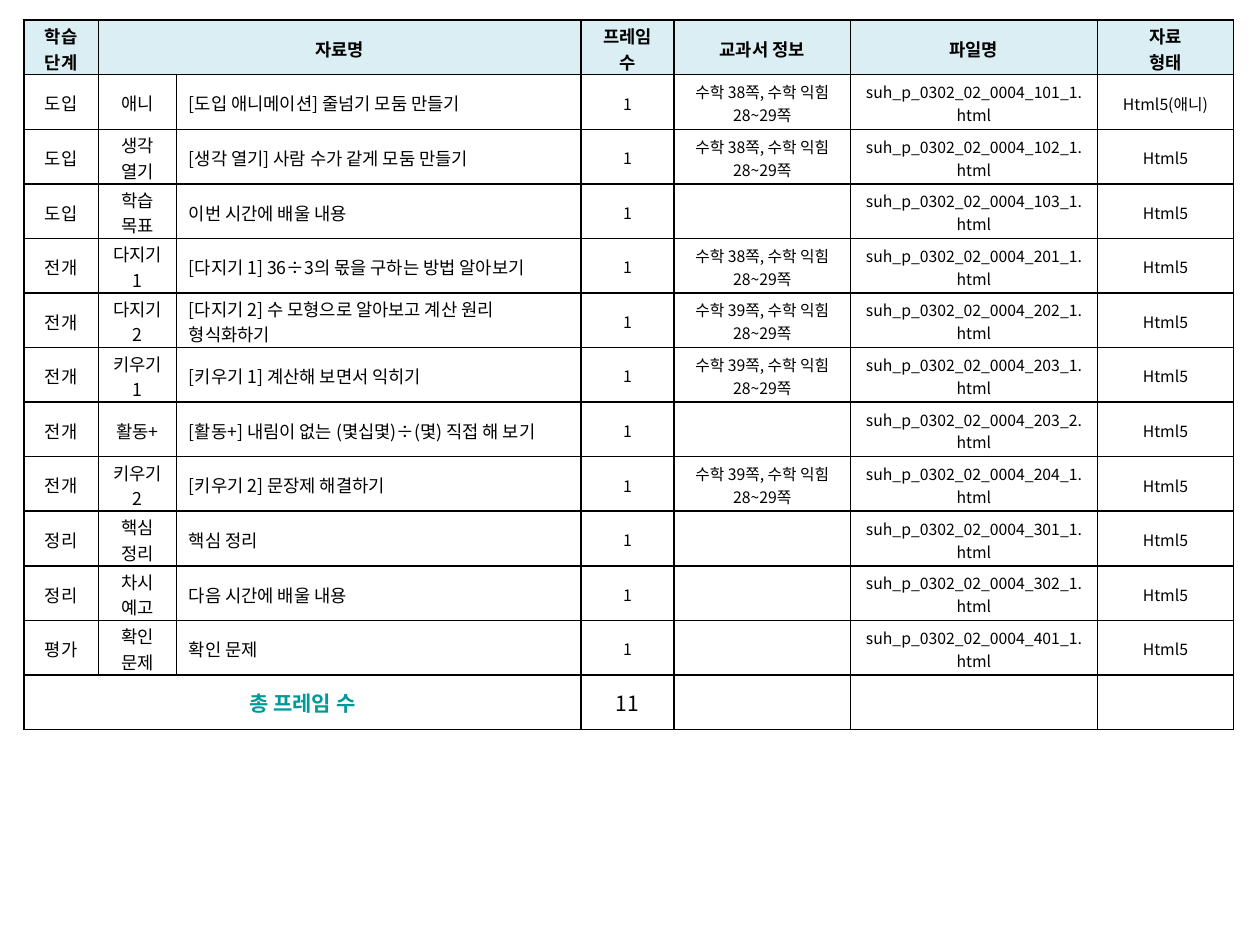
from lxml.etree import SubElement
from pptx import Presentation
from pptx.dml.color import RGBColor
from pptx.enum.text import MSO_ANCHOR, PP_ALIGN
from pptx.oxml.ns import qn
from pptx.util import Inches, Pt

BLACK = RGBColor(0x00, 0x00, 0x00)
WHITE = RGBColor(0xFF, 0xFF, 0xFF)
TEAL = RGBColor(0x00, 0x99, 0x99)
PALE_BLUE = RGBColor(0xDB, 0xEE, 0xF4)
FONT = "Noto Sans CJK KR"
TABLE_HEIGHT = Inches(5.63)
COLUMN_WIDTHS = [0.59, 0.62, 3.21, 0.74, 1.4, 1.96, 1.08]
VERTICAL_MARGINS = {9: (0.04, 0.02), 10.1: (0.02, 0), 12: (0.05, 0.05)}

HEADER = ["학습 단계", "자료명", "", "프레임 수", "교과서 정보", "파일명", "자료\n형태"]
LESSONS = [
    ("도입", "애니", "[도입 애니메이션] 줄넘기 모둠 만들기", 38, "101_1"),
    ("도입", "생각 열기", "[생각 열기] 사람 수가 같게 모둠 만들기", 38, "102_1"),
    ("도입", "학습 목표", "이번 시간에 배울 내용", None, "103_1"),
    ("전개", "다지기 1", "[다지기 1] 36÷3의 몫을 구하는 방법 알아보기", 38, "201_1"),
    ("전개", "다지기 2", "[다지기 2] 수 모형으로 알아보고 계산 원리 형식화하기", 39, "202_1"),
    ("전개", "키우기1", "[키우기 1] 계산해 보면서 익히기", 39, "203_1"),
    ("전개", "활동+", "[활동+] 내림이 없는 (몇십몇)÷(몇) 직접 해 보기", None, "203_2"),
    ("전개", "키우기2", "[키우기 2] 문장제 해결하기", 39, "204_1"),
    ("정리", "핵심 정리", "핵심 정리", None, "301_1"),
    ("정리", "차시 예고", "다음 시간에 배울 내용", None, "302_1"),
    ("평가", "확인 문제", "확인 문제", None, "401_1"),
]

rows = [HEADER]
for stage, activity, title, page, file_number in LESSONS:
    textbook = f"수학 {page}쪽, 수학 익힘 28~29쪽" if page else ""
    file_name = f"suh_p_0302_02_0004_{file_number}.html"
    file_type = "Html5(애니)" if activity == "애니" else "Html5"
    rows.append([stage, activity, title, "1", textbook, file_name, file_type])
rows.append(["총 프레임 수", "", "", str(len(LESSONS)), "", "", ""])
total_row = len(rows) - 1


def add_borders(cell):
    properties = cell._tc.get_or_add_tcPr()
    for position, side in enumerate(("a:lnL", "a:lnR", "a:lnT", "a:lnB")):
        line = SubElement(properties, qn(side), w=str(Pt(1)))
        fill = SubElement(line, qn("a:solidFill"))
        SubElement(fill, qn("a:srgbClr"), val=str(BLACK))
        properties.insert(position, line)


def format_text(cell, size, bold, color, align):
    top, bottom = VERTICAL_MARGINS[size]
    cell.margin_top = Inches(top)
    cell.margin_bottom = Inches(bottom)
    for paragraph in cell.text_frame.paragraphs:
        paragraph.alignment = align
        for run in paragraph.runs:
            run.font.size = Pt(size)
            run.font.bold = bold
            run.font.name = FONT
            run.font.color.rgb = color
            SubElement(run.font._element, qn("a:ea"), typeface=FONT)
        if not paragraph.runs:
            SubElement(paragraph._p, qn("a:endParaRPr"), sz=str(round(size * 100)))


prs = Presentation()
prs.slide_width = Inches(10)
prs.slide_height = Inches(7.5)
slide = prs.slides.add_slide(prs.slide_layouts[6])

lesson_table = slide.shapes.add_table(
    len(rows), len(COLUMN_WIDTHS), Inches(0.19), Inches(0.16),
    Inches(sum(COLUMN_WIDTHS)), TABLE_HEIGHT,
).table
lesson_table.first_row = False
lesson_table.horz_banding = False
for column, width in zip(lesson_table.columns, COLUMN_WIDTHS):
    column.width = Inches(width)
for row in lesson_table.rows:
    row.height = TABLE_HEIGHT // len(rows)

for r, row_texts in enumerate(rows):
    for c, text in enumerate(row_texts):
        cell = lesson_table.cell(r, c)
        cell.text_frame.text = text
        cell.vertical_anchor = MSO_ANCHOR.MIDDLE
        cell.fill.solid()
        cell.fill.fore_color.rgb = PALE_BLUE if r == 0 else WHITE
        add_borders(cell)

        is_header = r == 0
        is_total = r == total_row
        is_total_label = is_total and c == 0
        size = 12 if is_total else 10.1 if is_header or c < 3 else 9
        is_title = c == 2 and not is_header and not is_total
        format_text(
            cell, size, is_header or is_total_label,
            TEAL if is_total_label else BLACK,
            PP_ALIGN.LEFT if is_title else PP_ALIGN.CENTER,
        )

lesson_table.cell(0, 1).merge(lesson_table.cell(0, 2))
lesson_table.cell(total_row, 0).merge(lesson_table.cell(total_row, 2))

prs.save("out.pptx")
